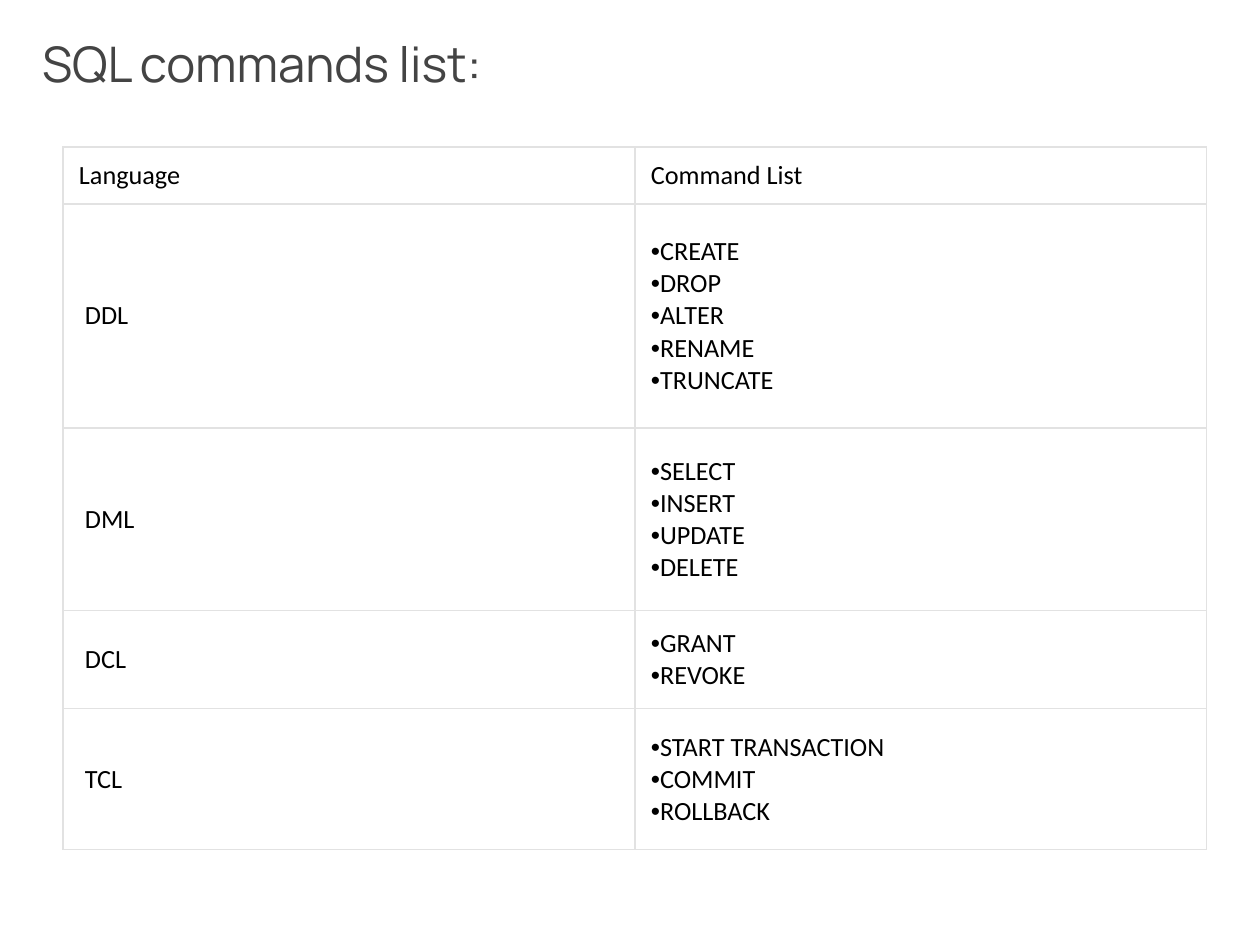
from dataclasses import dataclass

from lxml import etree
from pptx import Presentation
from pptx.dml.color import RGBColor
from pptx.enum.text import MSO_ANCHOR, MSO_AUTO_SIZE
from pptx.oxml.ns import qn
from pptx.util import Emu, Pt

MIDDLE = MSO_ANCHOR.MIDDLE
FIT_SHAPE = MSO_AUTO_SIZE.SHAPE_TO_FIT_TEXT
EMU_PER_PX = 914400 // 126
BORDER = "E2E2E2"
BORDER_PT = 0.75
COLUMN_WIDTH = 572


@dataclass
class CommandRow:
    height: int
    language: str
    commands: list[str]
    bulleted: bool = True


ROWS = [
    CommandRow(57, "Language", ["Command List"], bulleted=False),
    CommandRow(224, "\u00a0DDL", ["CREATE", "DROP", "ALTER", "RENAME", "TRUNCATE"]),
    CommandRow(183, "\u00a0DML", ["SELECT", "INSERT", "UPDATE", "DELETE"]),
    CommandRow(98, "\u00a0DCL", ["GRANT", "REVOKE"]),
    CommandRow(141, "\u00a0TCL", ["START TRANSACTION", "COMMIT", "ROLLBACK"]),
]


def px(n: int) -> Emu:
    return Emu(n * EMU_PER_PX)


def rgb(value: str) -> RGBColor:
    return RGBColor.from_string(value)


def write(tf, lines: list[str], *, size: float, font: str, color: str,
          bullet: bool = False) -> None:
    for i, line in enumerate(lines):
        p = tf.paragraphs[0] if i == 0 else tf.add_paragraph()
        r = p.add_run()
        r.text = line
        r.font.size = Pt(size)
        r.font.name = font
        r.font.color.rgb = rgb(color)
        if bullet:
            pPr = p._p.get_or_add_pPr()
            pPr.set("marL", "0")
            pPr.set("indent", "0")
            etree.SubElement(pPr, qn("a:buFont"), typeface="Arial")
            etree.SubElement(pPr, qn("a:buChar"), char="•")


def add_borders(cell) -> None:
    tcPr = cell._tc.get_or_add_tcPr()
    for side in ("lnL", "lnR", "lnT", "lnB"):
        ln = etree.SubElement(tcPr, qn(f"a:{side}"), w=str(int(Pt(BORDER_PT))))
        fill = etree.SubElement(ln, qn("a:solidFill"))
        etree.SubElement(fill, qn("a:srgbClr"), val=BORDER)


def fill_cell(cell, lines: list[str], bullet: bool = False) -> None:
    add_borders(cell)
    cell.fill.solid()
    cell.fill.fore_color.rgb = rgb("FFFFFF")
    cell.vertical_anchor = MIDDLE
    cell.margin_left = cell.margin_right = px(16)
    cell.margin_top = cell.margin_bottom = px(5)
    write(cell.text_frame, lines, size=15, font="Calibri", color="000000",
          bullet=bullet)


def add_command_table(s, left: int, top: int) -> None:
    height = sum(row.height for row in ROWS)
    frame = s.shapes.add_table(len(ROWS), 2, px(left), px(top),
                               px(2 * COLUMN_WIDTH), px(height))
    table = frame.table
    table.first_row = False
    table.horz_banding = False
    for column in table.columns:
        column.width = px(COLUMN_WIDTH)
    for i, row in enumerate(ROWS):
        table.rows[i].height = px(row.height)
        fill_cell(table.cell(i, 0), [row.language])
        fill_cell(table.cell(i, 1), row.commands, row.bulleted)


def add_title(s, text: str) -> None:
    sp = s.shapes.add_textbox(px(0), px(0), px(484), px(127))
    tf = sp.text_frame
    tf.word_wrap = False
    tf.auto_size = FIT_SHAPE
    tf.vertical_anchor = MIDDLE
    tf.margin_left, tf.margin_right = px(42), px(0)
    tf.margin_top, tf.margin_bottom = px(33), px(34)
    write(tf, [text], size=28, font="Manrope", color="444444")


prs = Presentation()
prs.slide_width, prs.slide_height = px(1260), px(945)
s = prs.slides.add_slide(prs.slide_layouts[6])
add_command_table(s, 63, 147)
add_title(s, "SQL commands list:")
prs.save("out.pptx")
